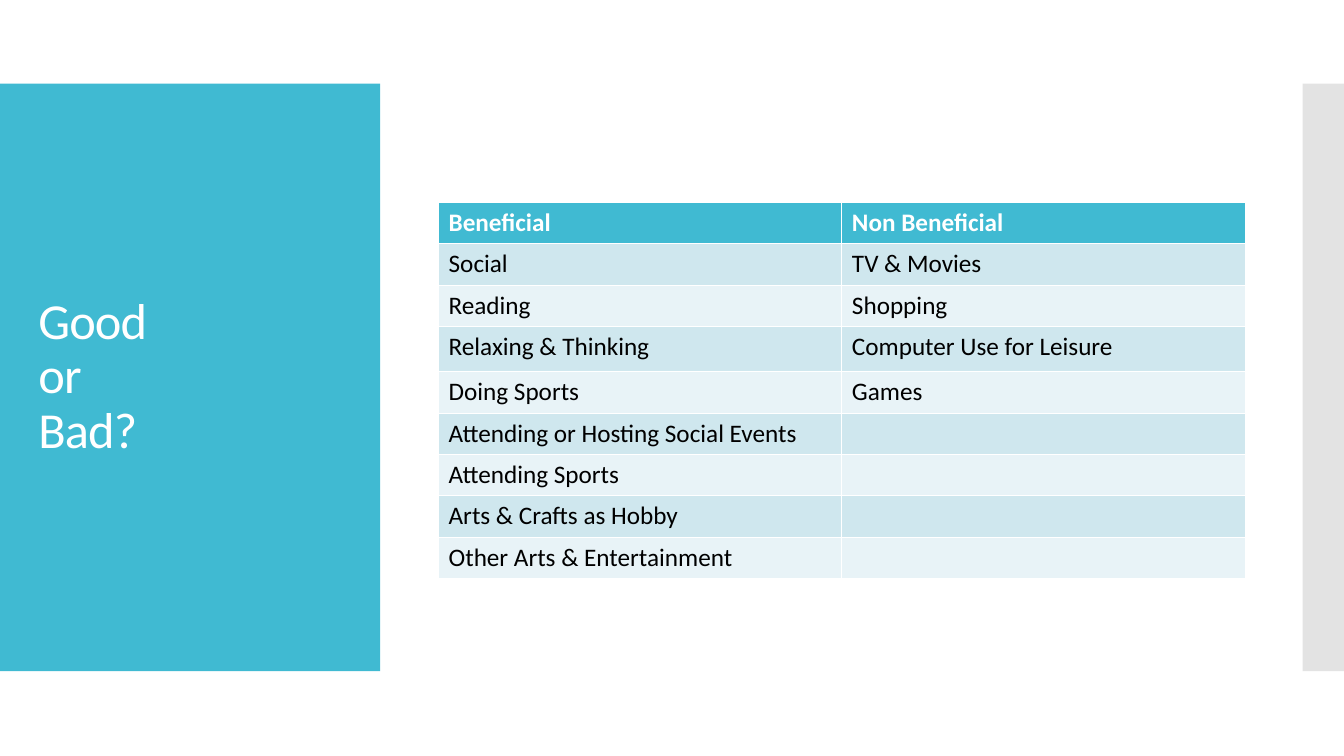
from lxml import etree
from pptx import Presentation
from pptx.dml.color import RGBColor
from pptx.enum.shapes import MSO_SHAPE as Shape
from pptx.enum.text import MSO_ANCHOR as Anchor, MSO_AUTO_SIZE as Fit, PP_ALIGN as Align
from pptx.oxml.ns import qn
from pptx.util import Inches, Pt


def paint(fill, shade):
    fill.solid()
    fill.fore_color.rgb = RGBColor.from_string(shade)


def style(para, size, shade, bold=False):
    font = para.font
    font.name, font.size, font.bold = "Calibri", Pt(size), bold
    font.color.rgb = RGBColor.from_string(shade)


deck = Presentation()
deck.slide_width, deck.slide_height = Inches(13.33), Inches(7.5)
slide = deck.slides.add_slide(deck.slide_layouts[5])
title = slide.shapes.title

# Side panels, behind the title
for left, width, shade in [(0, 3.77, "40BAD2"), (12.92, 0.41, "C8C8C8")]:
    panel = slide.shapes.add_shape(
        Shape.RECTANGLE, Inches(left), Inches(0.83), Inches(width), Inches(5.83))
    panel.shadow.inherit = False
    paint(panel.fill, shade)
    panel.line.fill.background()
    title._element.addprevious(panel._element)

# The right panel is half transparent
tint = panel._element.spPr.find(qn("a:solidFill"))[0]
etree.SubElement(tint, qn("a:alpha")).set("val", "50000")

# Title
title.left, title.top = Inches(0.28), Inches(1.23)
title.width, title.height = Inches(3.22), Inches(5.03)
frame = title.text_frame
frame.text = "Good\vor\vBad?"
frame.word_wrap = True
frame.auto_size = Fit.NONE
frame.vertical_anchor = Anchor.MIDDLE
para = frame.paragraphs[0]
para.alignment = Align.LEFT
para.line_spacing = 0.9
style(para, 36, "FFFFFF")
para.font._element.set("spc", "-60")

# Table: the default style supplies the white borders
rows = [
    ("Beneficial", "Non Beneficial"),
    ("Social", "TV & Movies"),
    ("Reading", "Shopping"),
    ("Relaxing & Thinking", "Computer Use for Leisure"),
    ("Doing Sports", "Games"),
    ("Attending or Hosting Social Events", ""),
    ("Attending Sports", ""),
    ("Arts & Crafts as Hobby", ""),
    ("Other Arts & Entertainment", ""),
]
table = slide.shapes.add_table(
    len(rows), 2, Inches(4.35), Inches(2.01), Inches(8), Inches(3.7)).table
for r, row in enumerate(rows):
    table.rows[r].height = Inches(0.45 if r == 3 else 0.41)
    head = r == 0
    shade = "40BAD2" if head else ("E8F3F7", "CFE7EE")[r % 2]
    for c, text in enumerate(row):
        cell = table.cell(r, c)
        paint(cell.fill, shade)
        cell.text = text
        style(cell.text_frame.paragraphs[0], 18, "FFFFFF" if head else "000000", head)

deck.save("out.pptx")
